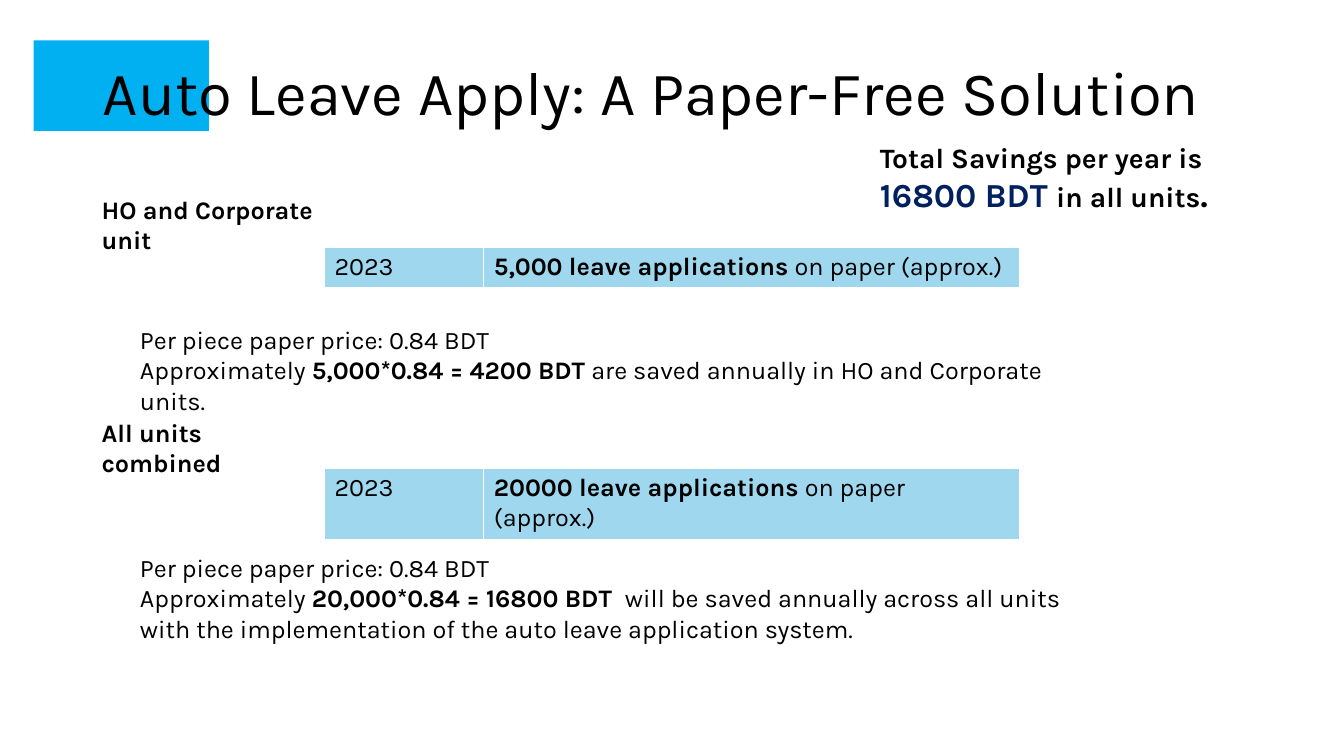
"""Build the slide on paper savings from automatic leave applications."""
from lxml import etree
from pptx import Presentation
from pptx.dml.color import RGBColor
from pptx.enum.shapes import MSO_SHAPE
from pptx.enum.text import MSO_ANCHOR, MSO_AUTO_SIZE, PP_ALIGN
from pptx.oxml.ns import qn
from pptx.util import Pt

RECTANGLE = MSO_SHAPE.RECTANGLE
MIDDLE = MSO_ANCHOR.MIDDLE
NO_FIT = MSO_AUTO_SIZE.NONE
LEFT = PP_ALIGN.LEFT

FONT = "Karla"
BLACK, WHITE, NAVY = "000000", "FFFFFF", "002060"
ACCENT, CELL_BLUE = "00B0F0", "9FD8EE"
BOLD = {"bold": True}

TITLE = "Auto Leave Apply: A Paper-Free Solution"
SAVINGS = [
    [("Total Savings per year is", BOLD)],
    [("16800 BDT ", {"bold": True, "size": 24, "color": NAVY}),
     ("in all units", BOLD),
     (".", {"bold": True, "size": 24})],
]
PRICE = [("Per piece paper price: 0.84 BDT", {})]
UNITS = [
    {
        "heading": "HO and Corporate unit", "heading_width": 199.5,
        "tops": (135.4, 176.4, 228.2), "details_height": 51,
        "year": "2023", "count": "5,000 leave applications",
        "details": [PRICE, [
            ("Approximately ", {}),
            ("5,000*0.84 = 4200 BDT", BOLD),
            (" are saved annually in HO and Corporate units.", {})]],
    },
    {
        "heading": "All units combined", "heading_width": 169,
        "tops": (294.5, 334.8, 391), "details_height": 72.7,
        "year": "2023", "count": "20000 leave applications",
        "details": [PRICE, [
            ("Approximately ", {}),
            ("20,000*0.84 = 16800 BDT  ", BOLD),
            ("will be saved annually across all units with the implementation "
             "of the auto leave application system.", {})]],
    },
]
COUNT_SUFFIX = " on paper (approx.)"

HEADING_LEFT, TABLE_LEFT, DETAILS_LEFT = 65.5, 231.8, 92.9
COLUMN_WIDTHS = (113.8, 383)
ROW_HEIGHT = 29.2
DETAILS_WIDTH = 695.5


def rgb(color):
    return RGBColor.from_string(color)


def write(frame, lines, size=18, color=BLACK):
    """Fill a text frame with lines of (text, format) runs."""
    frame.word_wrap = True
    for index, line in enumerate(lines):
        paragraph = frame.add_paragraph() if index else frame.paragraphs[0]
        paragraph.alignment = LEFT
        for text, style in line:
            run = paragraph.add_run()
            run.text = text
            run.font.name = FONT
            run.font.size = Pt(style.get("size", size))
            run.font.bold = style.get("bold", False)
            run.font.color.rgb = rgb(style.get("color", color))


def add_text(slide, box, lines, **style):
    """Add a wrapped text box."""
    write(slide.shapes.add_textbox(*map(Pt, box)).text_frame, lines, **style)


def add_borders(cell, color):
    """Draw thin lines on all sides of a cell."""
    properties = cell._tc.get_or_add_tcPr()
    for index, side in enumerate(("lnL", "lnR", "lnT", "lnB")):
        line = etree.Element(qn(f"a:{side}"), w=str(Pt(1)))
        fill = etree.SubElement(line, qn("a:solidFill"))
        etree.SubElement(fill, qn("a:srgbClr"), val=color)
        properties.insert(index, line)


def add_count_table(slide, top, cells):
    """Add the one-row table of year and applications."""
    table = slide.shapes.add_table(
        1, len(cells), Pt(TABLE_LEFT), Pt(top),
        Pt(sum(COLUMN_WIDTHS)), Pt(ROW_HEIGHT)).table
    table.first_row = table.horz_banding = False
    for index, (width, line) in enumerate(zip(COLUMN_WIDTHS, cells)):
        table.columns[index].width = Pt(width)
        cell = table.cell(0, index)
        cell.fill.solid()
        cell.fill.fore_color.rgb = rgb(CELL_BLUE)
        add_borders(cell, WHITE)
        write(cell.text_frame, [line])


def add_unit(slide, unit):
    """Add heading, table and calculation for one group of units."""
    heading_top, table_top, details_top = unit["tops"]
    add_text(slide, (HEADING_LEFT, heading_top, unit["heading_width"], 29),
             [[(unit["heading"], BOLD)]])
    add_count_table(slide, table_top, [
        [(unit["year"], {})],
        [(unit["count"], BOLD), (COUNT_SUFFIX, {})]])
    add_text(slide, (DETAILS_LEFT, details_top, DETAILS_WIDTH,
                     unit["details_height"]), unit["details"])


def main():
    deck = Presentation()
    deck.slide_width, deck.slide_height = Pt(960), Pt(540)
    slide = deck.slides.add_slide(deck.slide_layouts[5])

    title = slide.shapes.title
    accent = slide.shapes.add_shape(
        RECTANGLE, Pt(24), Pt(28.8), Pt(125.3), Pt(64.8))
    accent.shadow.inherit = False
    accent.fill.solid()
    accent.fill.fore_color.rgb = rgb(ACCENT)
    accent.line.fill.background()
    title._element.addprevious(accent._element)

    title.left, title.top, title.width, title.height = map(
        Pt, (66.2, 28.8, 813.6, 72.7))
    title.text_frame.auto_size = NO_FIT
    title.text_frame.vertical_anchor = MIDDLE
    write(title.text_frame, [[(TITLE, {})]], size=44)

    add_text(slide, (621.4, 96.5, 257.8, 60.5), SAVINGS, size=20)
    for unit in UNITS:
        add_unit(slide, unit)
    deck.save("out.pptx")


if __name__ == "__main__":
    main()
